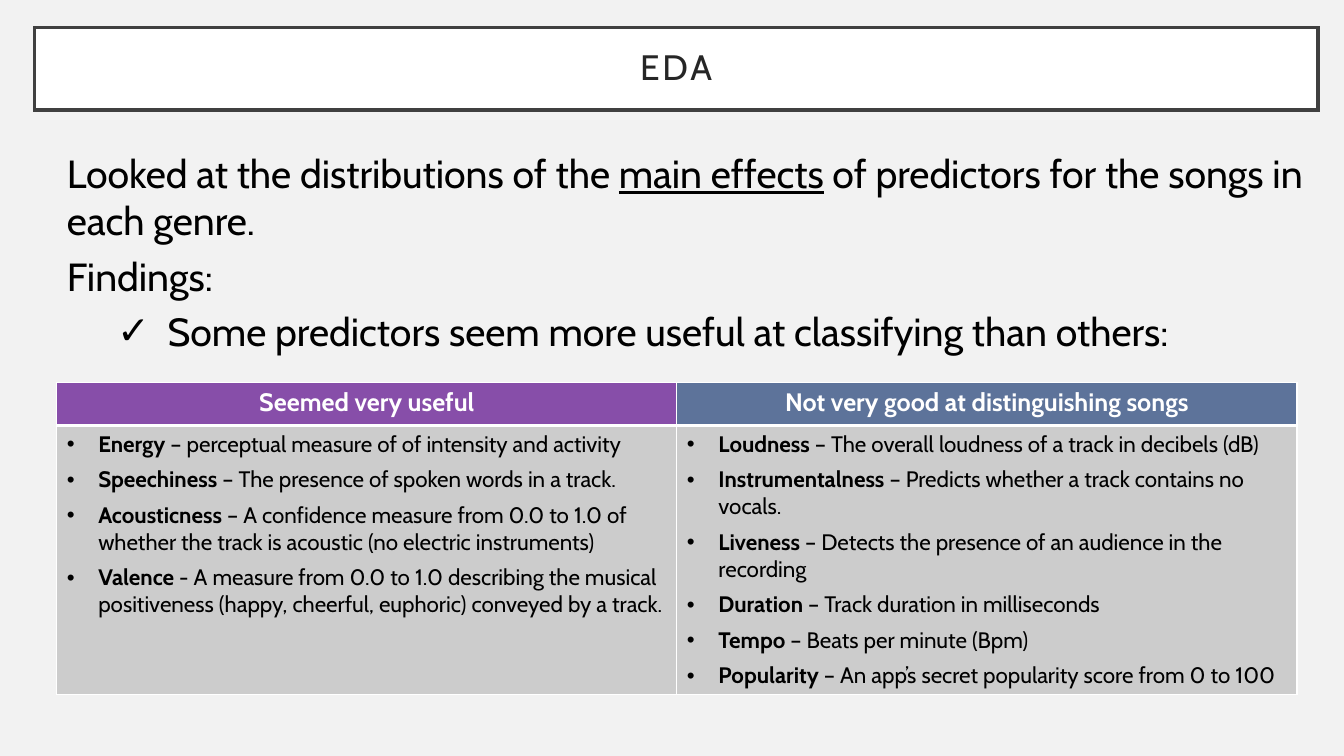
from dataclasses import dataclass

from lxml import etree
from pptx import Presentation
from pptx.dml.color import RGBColor
from pptx.enum.text import MSO_ANCHOR, MSO_AUTO_SIZE, PP_ALIGN
from pptx.oxml.ns import qn
from pptx.util import Pt

CENTER, LEFT = PP_ALIGN.CENTER, PP_ALIGN.LEFT
MIDDLE, TOP = MSO_ANCHOR.MIDDLE, MSO_ANCHOR.TOP
NO_AUTOFIT = MSO_AUTO_SIZE.NONE

TITLE = "EDA"
INTRO = ("Looked at the distributions of the ", "main effects",
         " of predictors for the songs in each genre.")
FINDINGS = "Findings:"
FINDING = "Some predictors seem more useful at classifying than others:"

# (heading, heading colour, [(predictor, description)])
COLUMNS = [
    ("Seemed very useful", "874EA9", [
        ("Energy", "– perceptual measure of of intensity and activity"),
        ("Speechiness", "– The presence of spoken words in a track."),
        ("Acousticness", "– A confidence measure from 0.0 to 1.0 of whether "
                         "the track is acoustic (no electric instruments)"),
        ("Valence", "- A measure from 0.0 to 1.0 describing the musical "
                    "positiveness (happy, cheerful, euphoric) conveyed by a track."),
    ]),
    ("Not very good at distinguishing songs", "5D739A", [
        ("Loudness", "– The overall loudness of a track in decibels (dB)"),
        ("Instrumentalness", "– Predicts whether a track contains no vocals."),
        ("Liveness", "– Detects the presence of an audience in the recording"),
        ("Duration", "– Track duration in milliseconds"),
        ("Tempo", "– Beats per minute (Bpm)"),
        ("Popularity", "– An app’s secret popularity score from 0 to 100"),
    ]),
]


@dataclass(frozen=True)
class Theme:
    font: str = "Cabin"
    bullet_font: str = "Arial"
    background: str = "F2F2F2"
    white: str = "FFFFFF"
    frame: str = "404040"
    title: str = "262626"
    text: str = "000000"
    cell: str = "CCCCCC"
    title_size: float = 25.2
    body_size: float = 28
    heading_size: float = 18
    cell_size: float = 16


THEME = Theme()
TABLE_LEFT, TABLE_TOP, COLUMN_WIDTH = 40.5, 273, 443
ROW_HEIGHTS = (31, 190)


def place(shape, left, top, width, height):
    shape.left, shape.top = Pt(left), Pt(top)
    shape.width, shape.height = Pt(width), Pt(height)


def paint(fill, color):
    fill.solid()
    fill.fore_color.rgb = RGBColor.from_string(color)


def add_run(p, text, size, color, bold=False, underline=False):
    r = p.add_run()
    r.text = text
    font = r.font
    font.name, font.size = THEME.font, Pt(size)
    font.bold, font.underline = bold, underline
    font.color.rgb = RGBColor.from_string(color)
    return r


def next_paragraph(tf, index):
    return tf.paragraphs[0] if index == 0 else tf.add_paragraph()


def format_item(p, margin=0, hanging=0, bullet=None):
    """Set indent, spacing and an optional bullet character."""
    pPr = p._p.get_or_add_pPr()
    pPr.set("marL", str(Pt(margin)))
    pPr.set("indent", str(Pt(-hanging)))
    if bullet:
        etree.SubElement(pPr, qn("a:buFont")).set("typeface", THEME.bullet_font)
        etree.SubElement(pPr, qn("a:buChar")).set("char", bullet)
    else:
        etree.SubElement(pPr, qn("a:buNone"))
    p.alignment = LEFT
    p.space_before, p.space_after = Pt(0), Pt(6)


def border_cell(cell, bottom_width):
    tcPr = cell._tc.get_or_add_tcPr()
    for i, side in enumerate("LRTB"):
        ln = etree.Element(qn(f"a:ln{side}"))
        ln.set("w", str(Pt(bottom_width if side == "B" else 1)))
        fill = etree.SubElement(ln, qn("a:solidFill"))
        etree.SubElement(fill, qn("a:srgbClr")).set("val", THEME.white)
        tcPr.insert(i, ln)


def add_title(s):
    title = s.shapes.title
    place(title, 24.5, 19.5, 917, 59)
    paint(title.fill, THEME.white)
    title.line.color.rgb = RGBColor.from_string(THEME.frame)
    title.line.width = Pt(2.5)
    ln = title._element.spPr.find(qn("a:ln"))
    etree.SubElement(ln, qn("a:miter")).set("lim", "800000")
    tf = title.text_frame
    tf.auto_size, tf.vertical_anchor = NO_AUTOFIT, MIDDLE
    tf.margin_left = tf.margin_right = tf.margin_top = tf.margin_bottom = Pt(14.4)
    p = tf.paragraphs[0]
    p.alignment, p.line_spacing = CENTER, 0.9
    r = add_run(p, TITLE, THEME.title_size, THEME.title)
    r._r.get_or_add_rPr().set("spc", "200")


def add_body(s):
    body = s.placeholders[1]
    place(body, 40.5, 103, 901.5, 235)
    tf = body.text_frame
    tf.auto_size, tf.vertical_anchor = NO_AUTOFIT, TOP
    for i, parts in enumerate([INTRO, (FINDINGS,), (FINDING,)]):
        p = next_paragraph(tf, i)
        if parts == (FINDING,):
            p.level = 1
            format_item(p, 72, 36, "✓")
        else:
            format_item(p)
        for j, text in enumerate(parts):
            add_run(p, text, THEME.body_size, THEME.text, underline=j == 1)


def add_predictors(s):
    width = COLUMN_WIDTH * len(COLUMNS)
    table = s.shapes.add_table(len(ROW_HEIGHTS), len(COLUMNS), Pt(TABLE_LEFT),
                               Pt(TABLE_TOP), Pt(width), Pt(sum(ROW_HEIGHTS))).table
    for row, height in zip(table.rows, ROW_HEIGHTS):
        row.height = Pt(height)
    for col, (heading, color, predictors) in enumerate(COLUMNS):
        table.columns[col].width = Pt(COLUMN_WIDTH)
        head, cell = table.cell(0, col), table.cell(1, col)
        paint(head.fill, color)
        paint(cell.fill, THEME.cell)
        border_cell(head, 3)
        border_cell(cell, 1)
        p = head.text_frame.paragraphs[0]
        p.alignment = CENTER
        add_run(p, heading, THEME.heading_size, THEME.white, bold=True)
        for i, (name, description) in enumerate(predictors):
            p = next_paragraph(cell.text_frame, i)
            format_item(p, 22.5, 22.5, "•")
            add_run(p, name, THEME.cell_size, THEME.text, bold=True)
            add_run(p, f" {description}", THEME.cell_size, THEME.text)


def main():
    prs = Presentation()
    prs.slide_width, prs.slide_height = Pt(960), Pt(540)
    s = prs.slides.add_slide(prs.slide_layouts[1])
    paint(s.background.fill, THEME.background)
    add_title(s)
    add_body(s)
    add_predictors(s)
    prs.save("out.pptx")


if __name__ == "__main__":
    main()
